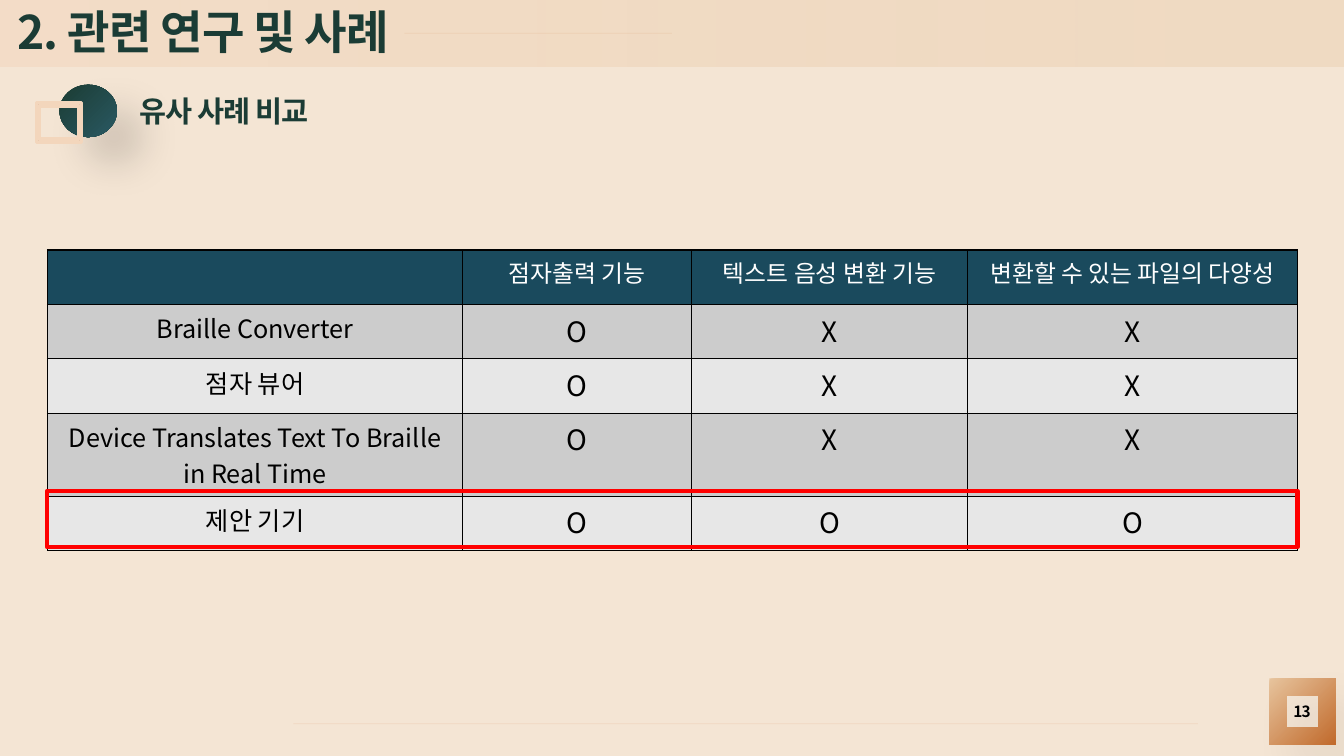
from lxml.etree import SubElement
from pptx import Presentation
from pptx.dml.color import RGBColor
from pptx.enum.shapes import MSO_CONNECTOR as CONNECTOR, MSO_SHAPE as SHAPE
from pptx.enum.text import MSO_ANCHOR as ANCHOR, MSO_AUTO_SIZE as AUTO_SIZE, PP_ALIGN as ALIGN
from pptx.oxml.ns import qn
from pptx.util import Inches, Pt

FONT = "Noto Sans CJK KR"
INK = "1B3C35"
COLUMN_WIDTHS = [4.12, 2.27, 2.74, 3.27]
ROW_HEIGHTS = [0.54, 0.54, 0.54, 0.8, 0.54]
COMPARISON = [
    ["", "점자출력 기능", "텍스트 음성 변환 기능", "변환할 수 있는 파일의 다양성"],
    ["Braille Converter", "O", "X", "X"],
    ["점자 뷰어", "O", "X", "X"],
    ["Device Translates Text To Braille\nin Real Time", "O", "X", "X"],
    ["제안 기기", "O", "O", "O"],
]


def rgb(value):
    """Turn a hex string into a colour."""
    return RGBColor.from_string(value)


def inches(*lengths):
    """Turn plain numbers into lengths."""
    return [Inches(length) for length in lengths]


def set_alpha(color_parent, percent):
    """Make every colour below an element partly transparent."""
    for color in color_parent.iter(qn("a:srgbClr")):
        SubElement(color, qn("a:alpha"), val=str(percent * 1000))


def style_text(frame, size, color, bold=False, align=ALIGN.LEFT, spacing=None):
    """Format every run of a text frame."""
    for paragraph in frame.paragraphs:
        paragraph.alignment = align
        for run in paragraph.runs:
            run.font.size, run.font.bold, run.font.name = Pt(size), bold, FONT
            run.font.color.rgb = rgb(color)
            properties = run.font._element
            SubElement(properties, qn("a:ea"), typeface=FONT)
            if spacing is not None:
                properties.set("spc", str(round(spacing * 100)))


def set_label(frame, text, size, color, align=ALIGN.LEFT):
    """Fill a frame with one bold, tightly spaced line without insets."""
    frame.text = text
    frame.word_wrap = True
    frame.auto_size = AUTO_SIZE.NONE
    frame.vertical_anchor = ANCHOR.MIDDLE
    frame.margin_left = frame.margin_top = frame.margin_right = frame.margin_bottom = 0
    style_text(frame, size, color, True, align, -0.6)


def add_label(slide, box, text, size, color, align=ALIGN.LEFT):
    """Add a text box holding one label."""
    label = slide.shapes.add_textbox(*inches(*box))
    set_label(label.text_frame, text, size, color, align)


def add_block(slide, kind, box):
    """Add a preset shape without line or shadow."""
    block = slide.shapes.add_shape(kind, *inches(*box))
    block.shadow.inherit = False
    block.line.fill.background()
    return block


def fill_gradient(block, start, end, angle):
    """Fill a shape with a two-colour gradient, angle counter-clockwise."""
    block.fill.gradient()
    block.fill.gradient_angle = angle
    for stop, color in zip(block.fill.gradient_stops, (start, end)):
        stop.color.rgb = rgb(color)


def add_shadow(block, percent):
    """Give a shape a soft shadow to the lower right."""
    effects = block.element.spPr.find(qn("a:effectLst"))
    shadow = SubElement(effects, qn("a:outerShdw"), blurRad=str(Pt(30)), dist=str(Pt(26)),
                        dir="2700000", algn="tl", rotWithShape="0")
    SubElement(shadow, qn("a:srgbClr"), val="000000")
    set_alpha(shadow, percent)


def add_rule(slide, left, right, y):
    """Draw a faint horizontal rule."""
    rule = slide.shapes.add_connector(CONNECTOR.STRAIGHT, *inches(left, y, right, y))
    rule.line.color.rgb = rgb("E3AB83")
    rule.line.width = Pt(0.5)
    set_alpha(rule.element.spPr, 24)
    SubElement(rule.element.spPr, qn("a:effectLst"))
    return rule


def draw_header(slide, box, text):
    """Draw the title band, its rule and the title."""
    left, top, width, height = box
    title = slide.shapes.title
    band = add_block(slide, SHAPE.RECTANGLE, box)
    fill_gradient(band, "E7C49D", "F3D5BB", 180)
    for stop, percent in zip(band.element.spPr.iter(qn("a:gs")), (31, 50)):
        set_alpha(stop, percent)
    rule = add_rule(slide, left + 4.01, left + width / 2, top + height / 2)
    for backdrop in (band, rule):
        title.element.addprevious(backdrop.element)
    title.left, title.top, title.width, title.height = inches(left + 0.17, top, 8.54, 0.62)
    number, heading = text
    title.text_frame.text = f"{number}\t{heading}"
    properties = title.text_frame.paragraphs[0]._p.get_or_add_pPr()
    tabs = SubElement(properties, qn("a:tabLst"))
    SubElement(tabs, qn("a:tab"), pos=str(Inches(0.6)), algn="l")
    set_label(title.text_frame, title.text_frame.text, 33, INK)


def draw_subheading(slide, box, text):
    """Draw the circle and frame ornament beside the subheading."""
    left, top, width, height = box
    circle = add_block(slide, SHAPE.OVAL, (left + 0.23, top, 0.57, 0.52))
    fill_gradient(circle, "1B3C33", "2A5963", 315)
    add_shadow(circle, 17)
    ornament = add_block(slide, SHAPE.FRAME, (left, top + 0.18, 0.45, 0.39))
    ornament.adjustments[0] = 0.08
    ornament.fill.solid()
    ornament.fill.fore_color.rgb = rgb("E4C2A9")
    ornament.line.color.rgb = rgb("F3D6BC")
    ornament.line.width = Pt(2.25)
    add_label(slide, (left + 1.02, top + 0.07, width - 1.02, 0.37), text, 21, INK)


def set_borders(cell):
    """Draw black borders on all sides of a cell."""
    properties = cell._tc.get_or_add_tcPr()
    for side in ("lnL", "lnR", "lnT", "lnB"):
        border = SubElement(properties, qn(f"a:{side}"), w=str(Pt(1)))
        fill = SubElement(border, qn("a:solidFill"))
        SubElement(fill, qn("a:srgbClr"), val="000000")


def draw_comparison(slide, box):
    """Draw the comparison table and outline its last row in red."""
    left, top, width, height = box
    table = slide.shapes.add_table(len(ROW_HEIGHTS), len(COLUMN_WIDTHS), *inches(*box)).table
    for column, column_width in zip(table.columns, COLUMN_WIDTHS):
        column.width = Inches(column_width)
    for r, (row_height, texts) in enumerate(zip(ROW_HEIGHTS, COMPARISON)):
        table.rows[r].height = Inches(row_height)
        row_fill = "1A4A5D" if r == 0 else ("E7E7E7", "CCCCCC")[r % 2]
        for c, text in enumerate(texts):
            cell = table.cell(r, c)
            set_borders(cell)
            cell.fill.solid()
            cell.fill.fore_color.rgb = rgb(row_fill)
            cell.text_frame.text = text
            size = 17 if r == 0 else 18 if c == 0 else 20
            style_text(cell.text_frame, size, "000000" if r else "FFFFFF", align=ALIGN.CENTER)
    highlight = add_block(slide, SHAPE.RECTANGLE, (left, top + height - 0.56, width, 0.56))
    highlight.fill.background()
    highlight.line.color.rgb = rgb("FF0000")
    highlight.line.width = Pt(3)


def draw_footer(slide, box, page):
    """Draw the bottom rule and the page number badge."""
    left, top, width, height = box
    badge_left = left + width - 0.66
    badge = add_block(slide, SHAPE.FRAME, (badge_left, top, 0.66, height))
    badge.adjustments[0] = 0.265
    fill_gradient(badge, "E7C49D", "C16A2C", 315)
    add_shadow(badge, 8)
    add_rule(slide, left, left + 8.97, top + 0.45)
    add_label(slide, (badge_left + 0.01, top + 0.22, 0.63, 0.22), page, 11, "000000", ALIGN.CENTER)


def main():
    """Build and save the slide."""
    deck = Presentation()
    deck.slide_width, deck.slide_height = inches(13.33, 7.5)
    slide = deck.slides.add_slide(deck.slide_layouts[5])
    slide.background.fill.solid()
    slide.background.fill.fore_color.rgb = rgb("F4E5D4")
    draw_header(slide, (0, 0, 13.33, 0.66), ("2.", "관련 연구 및 사례"))
    draw_footer(slide, (2.91, 6.73, 10.34, 0.66), "13")
    draw_subheading(slide, (0.36, 0.84, 6.98, 0.57), "유사 사례 비교")
    draw_comparison(slide, (0.47, 2.48, 12.4, 2.95))
    deck.save("out.pptx")


if __name__ == "__main__":
    main()
